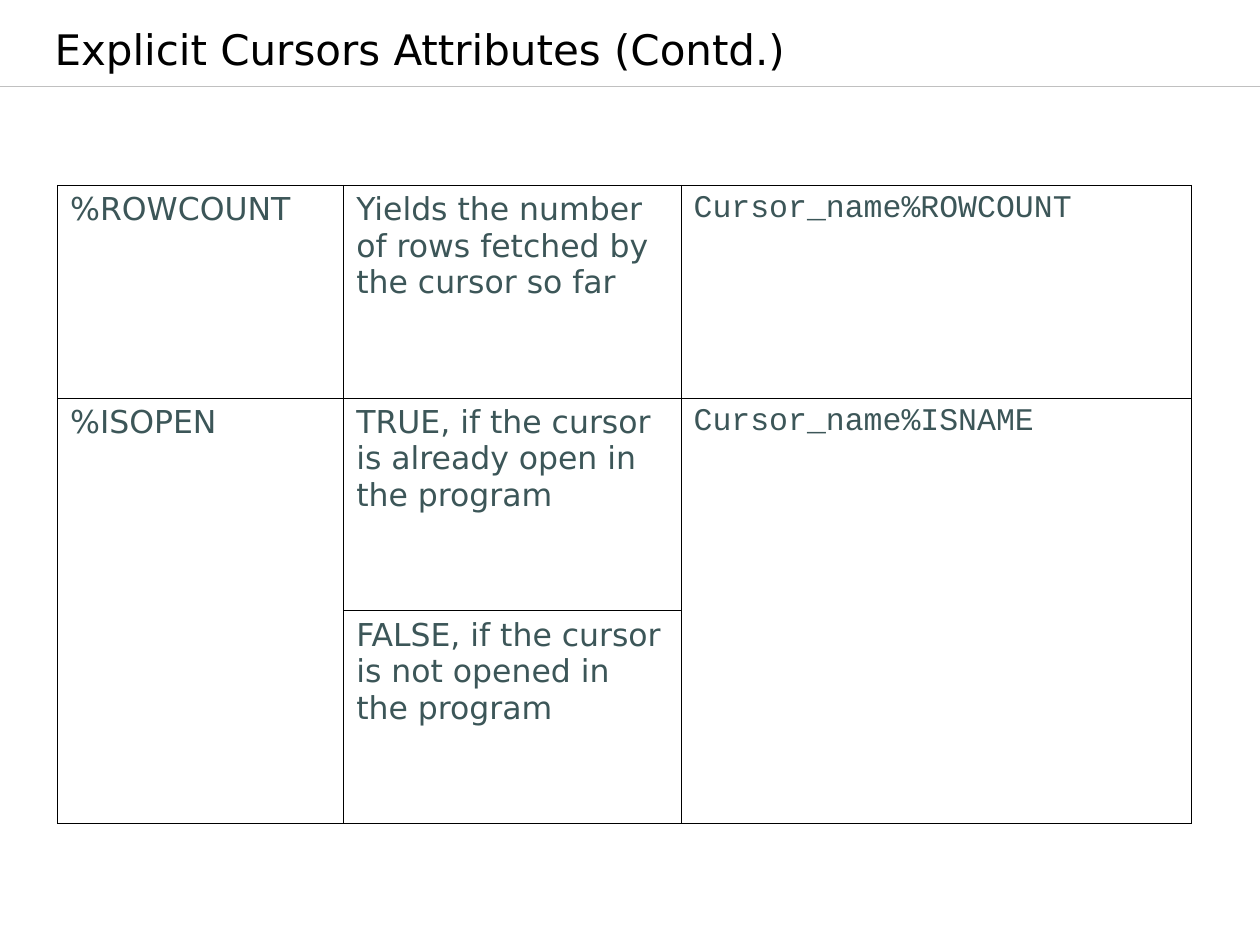
"""Build a slide with a table of explicit cursor attributes."""
import pptx
import pptx.dml.color
import pptx.enum.shapes
import pptx.enum.text
import pptx.oxml
import pptx.oxml.ns
import pptx.util
from pptx.util import Cm

BLACK = pptx.dml.color.RGBColor(0x00, 0x00, 0x00)
SILVER = pptx.dml.color.RGBColor(0xC0, 0xC0, 0xC0)
SLATE = pptx.dml.color.RGBColor(0x3C, 0x56, 0x58)

HEADING = {"name": "DejaVu Sans", "size": pptx.util.Pt(24), "bold": False}
BODY = {"name": "DejaVu Sans", "size": pptx.util.Pt(18), "bold": False}
CODE = {**BODY, "name": "Courier New"}

COLUMN_WIDTHS = [Cm(5.77), Cm(6.8), Cm(10.29)]
COLUMN_FORMATS = [BODY, BODY, CODE]
ROW_HEIGHT = Cm(4.29)
ATTRIBUTES = [
    ["%ROWCOUNT", "Yields the number of rows fetched by the cursor so far",
     "Cursor_name%ROWCOUNT"],
    ["%ISOPEN", "TRUE, if the cursor is already open in the program",
     "Cursor_name%ISNAME"],
    ["", "FALSE, if the cursor is not opened in the program", ""],
]


def apply(target, values):
    for attribute, value in values.items():
        setattr(target, attribute, value)


def write(frame, text, font_values, color):
    run = frame.paragraphs[0].add_run()
    run.text = text
    apply(run.font, font_values)
    run.font.color.rgb = color


def add_heading(slide, text):
    heading = slide.shapes.add_textbox(Cm(0.08), Cm(0.43), Cm(18.57), Cm(1.19))
    apply(heading.text_frame, {
        "word_wrap": True,
        "vertical_anchor": pptx.enum.text.MSO_ANCHOR.BOTTOM,
        "margin_left": Cm(1.02), "margin_right": Cm(0.25),
        "margin_top": Cm(0.13), "margin_bottom": Cm(0.13),
    })
    write(heading.text_frame, text, HEADING, BLACK)


def add_rule(slide, top, width):
    rule = slide.shapes.add_connector(
        pptx.enum.shapes.MSO_CONNECTOR.STRAIGHT, 0, top, width, top)
    rule.line.color.rgb = SILVER
    rule.line.width = pptx.util.Pt(0.74)
    properties = rule._element.spPr
    properties.append(pptx.oxml.parse_xml(
        f"<a:effectLst {pptx.oxml.ns.nsdecls('a')}/>"))


def outline(cell, width):
    properties = cell._tc.get_or_add_tcPr()
    for side in ("lnL", "lnR", "lnT", "lnB"):
        properties.append(pptx.oxml.parse_xml(
            f"<a:{side} {pptx.oxml.ns.nsdecls('a')} w='{width}'>"
            f"<a:solidFill><a:srgbClr val='{BLACK}'/></a:solidFill></a:{side}>"))


def add_attribute_table(slide):
    attributes = slide.shapes.add_table(
        len(ATTRIBUTES), len(COLUMN_WIDTHS), Cm(1.16), Cm(3.73),
        sum(COLUMN_WIDTHS), ROW_HEIGHT * len(ATTRIBUTES)).table
    apply(attributes, {"first_row": False, "horz_banding": False})
    for column, width in zip(attributes.columns, COLUMN_WIDTHS):
        column.width = width
    for row_index, entries in enumerate(ATTRIBUTES):
        attributes.rows[row_index].height = ROW_HEIGHT
        for column_index, entry in enumerate(entries):
            cell = attributes.cell(row_index, column_index)
            outline(cell, pptx.util.Pt(0.34))
            cell.fill.background()
            if entry:
                write(cell.text_frame, entry, COLUMN_FORMATS[column_index], SLATE)
    for column_index in (0, 2):
        attributes.cell(1, column_index).merge(attributes.cell(2, column_index))


def main():
    presentation = pptx.Presentation()
    apply(presentation, {"slide_width": Cm(25.4), "slide_height": Cm(19.05)})
    slide = presentation.slides.add_slide(presentation.slide_layouts[6])
    add_rule(slide, Cm(1.75), presentation.slide_width)
    add_heading(slide, "Explicit Cursors Attributes (Contd.)")
    add_attribute_table(slide)
    presentation.save("out.pptx")


main()
